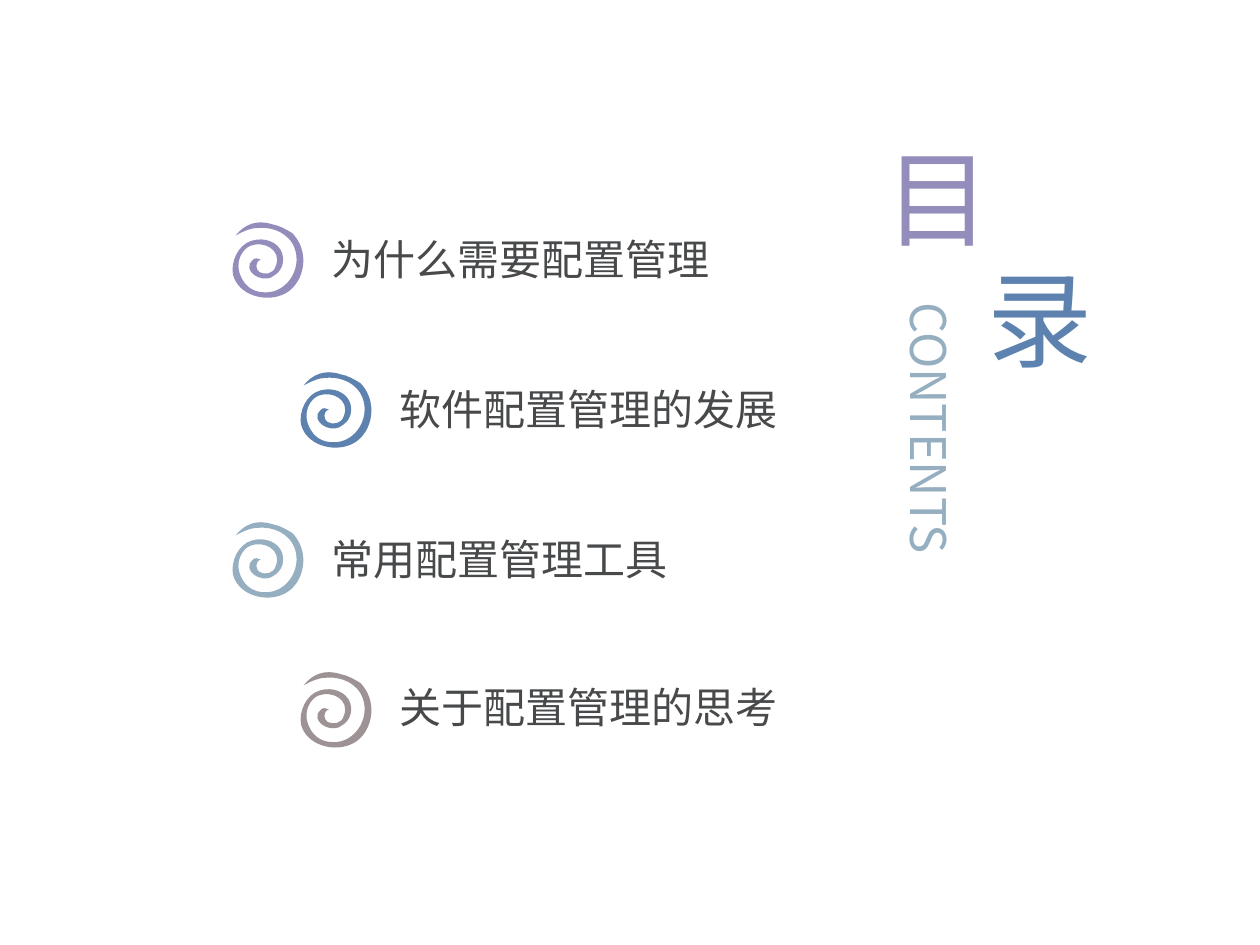
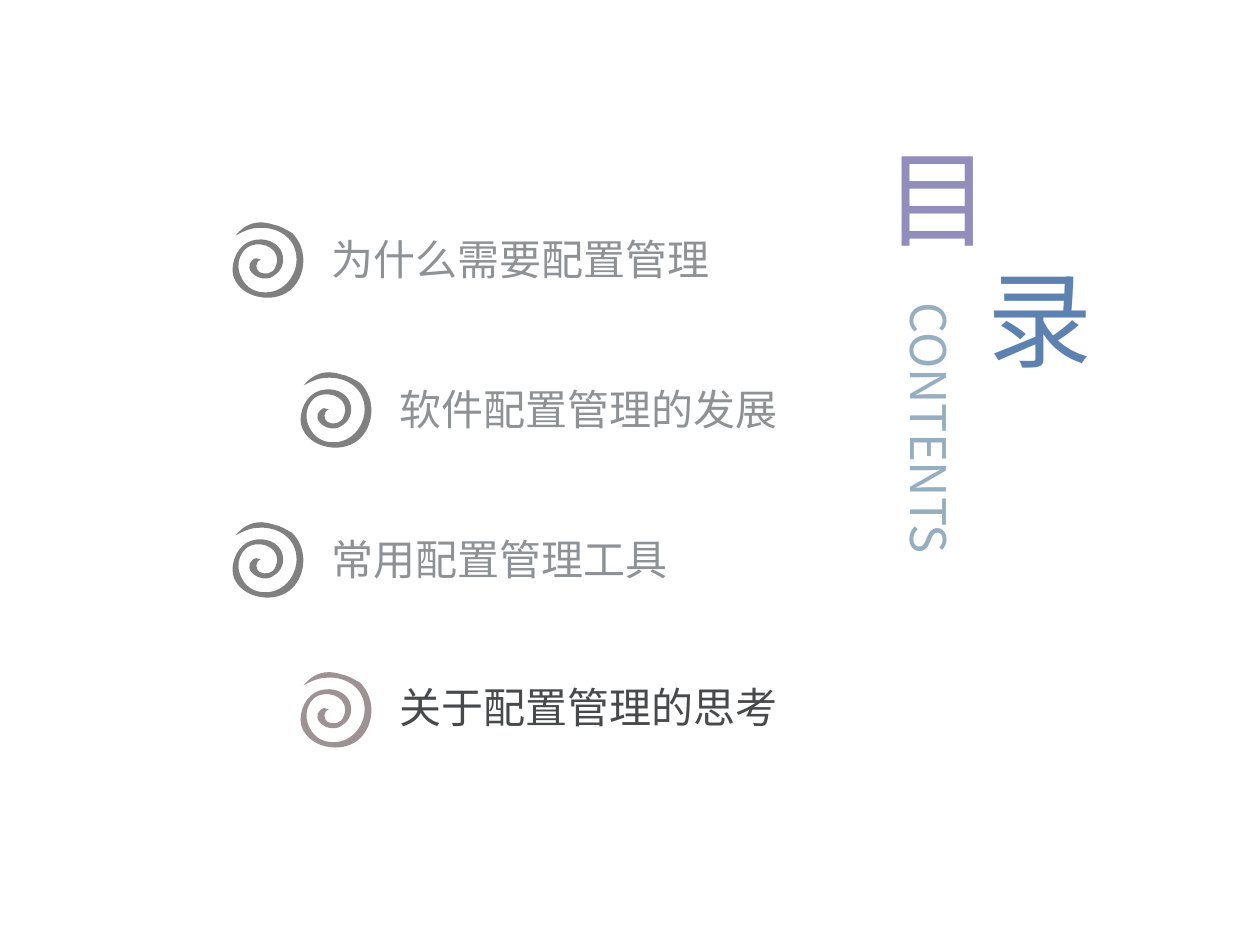
from dataclasses import dataclass
from lxml.etree import SubElement
from pptx import Presentation
from pptx.dml.color import RGBColor
from pptx.enum.text import MSO_ANCHOR, MSO_AUTO_SIZE, PP_ALIGN
from pptx.oxml.ns import qn
from pptx.util import Inches, Pt


@dataclass(frozen=True)
class Theme:
    purple: str = "938DBC"
    blue: str = "5D82AF"
    mist: str = "95AEC0"
    taupe: str = "9D9394"
    dark: str = "47494B"
    muted_label: str = "8F9295"
    muted_spiral: str = "808080"
    heading_font: str = "Noto Sans CJK JP"
    label_font: str = "Calibri"
    heading_size: int = 60
    caption_size: int = 28
    label_size: int = 24


THEME = Theme()
TOPICS = [
    ("为什么需要配置管理", THEME.purple, 1.66, 4.09),
    ("软件配置管理的发展", THEME.blue, 2.85, 4.01),
    ("常用配置管理工具", THEME.mist, 4.04, 4.01),
    ("关于配置管理的思考", THEME.taupe, 5.21, 4.01),
]
COLUMN_LEFTS = (1.83, 2.37)
SPIRAL_TOP, SPIRAL_PITCH = 1.74, 1.19
SPIRAL_WIDTH, SPIRAL_HEIGHT = 0.6, 0.65
LABEL_OFFSET, LABEL_HEIGHT = 0.7, 0.79
SPIRAL_GRID = (60, 65)
SPIRAL_START = (24, 32)
SPIRAL_CURVES = [
    ((19, 34), (20, 40), (23, 42)),
    ((27, 44), (34, 44), (36, 37)),
    ((41, 24), (26, 17), (16, 21)),
    ((10, 23), (2, 34), (9, 47)),
    ((12, 53), (18, 58), (27, 58)),
    ((46, 59), (59, 36), (49, 19)),
    ((42, 8), (29, 6), (21, 7)),
    ((16, 7), (9, 10), (4, 13)),
    ((11, 4), (21, 0), (33, 4)),
    ((39, 5), (44, 8), (49, 11)),
    ((54, 16), (60, 26), (57, 40)),
    ((55, 49), (49, 57), (41, 60)),
    ((27, 66), (6, 60), (2, 44)),
    ((0, 34), (6, 20), (17, 17)),
    ((27, 14), (38, 18), (41, 27)),
    ((43, 34), (41, 41), (34, 45)),
    ((32, 47), (27, 48), (22, 46)),
    ((13, 42), (14, 35), (17, 33)),
    ((19, 30), (22, 31), (24, 32)),
]


def apply(target, values):
    for attribute, value in values.items():
        setattr(target, attribute, value)


def place(shape, left, top, width, height):
    apply(shape, {
        "left": Inches(left), "top": Inches(top),
        "width": Inches(width), "height": Inches(height),
    })


def curve_outline(shape, grid, start, curves):
    outline = shape._element.find(".//" + qn("a:path"))
    for segment in list(outline):
        outline.remove(segment)
    for side, length in zip("wh", grid):
        outline.set(side, str(length))
    steps = [("a:moveTo", [start])] + [("a:cubicBezTo", curve) for curve in curves]
    for tag, points in steps:
        segment = SubElement(outline, qn(tag))
        for x, y in points:
            SubElement(segment, qn("a:pt"), x=str(x), y=str(y))
    SubElement(outline, qn("a:close"))


def add_spiral(slide, left, top, color):
    builder = slide.shapes.build_freeform(*SPIRAL_START, scale=Inches(0.01))
    builder.add_line_segments([curve[-1] for curve in SPIRAL_CURVES])
    spiral = builder.convert_to_shape()
    curve_outline(spiral, SPIRAL_GRID, SPIRAL_START, SPIRAL_CURVES)
    place(spiral, left, top, SPIRAL_WIDTH, SPIRAL_HEIGHT)
    spiral.shadow.inherit = False
    spiral.fill.solid()
    spiral.fill.fore_color.rgb = RGBColor.from_string(color)
    spiral.line.fill.background()


def write(shape, text, font, size, color, align=PP_ALIGN.LEFT, inset=None):
    frame = shape.text_frame
    apply(frame, {
        "word_wrap": True,
        "auto_size": MSO_AUTO_SIZE.NONE,
        "vertical_anchor": MSO_ANCHOR.MIDDLE,
    })
    if inset is not None:
        sides = ("left", "top", "right", "bottom")
        apply(frame, {f"margin_{side}": Inches(inset) for side in sides})
    paragraph = frame.paragraphs[0]
    paragraph.alignment = align
    run = paragraph.add_run()
    run.text = text
    apply(run.font, {"name": font, "size": Pt(size)})
    run.font.color.rgb = RGBColor.from_string(color)
    SubElement(run.font._element, qn("a:ea"), typeface=THEME.heading_font)


def add_text(slide, box, *content, **layout):
    label = slide.shapes.add_textbox(*map(Inches, box))
    write(label, *content, **layout)
    return label


def add_heading(slide):
    style = {"align": PP_ALIGN.CENTER, "inset": 0}
    font = (THEME.heading_font, THEME.heading_size)
    title = slide.shapes.title
    place(title, 6.89, 0.97, 1.11, 1.18)
    write(title, "目", *font, THEME.purple, **style)
    add_text(slide, (7.7, 1.93, 1.11, 1.18), "录", *font, THEME.blue, **style)
    caption = add_text(slide, (5.69, 3.7, 3.39, 0.79), "CONTENTS",
                       THEME.heading_font, THEME.caption_size, THEME.mist, inset=0)
    caption.rotation = 90


def add_topics(slide, active):
    for index, (topic, color, label_top, label_width) in enumerate(TOPICS):
        left = COLUMN_LEFTS[index % 2]
        is_active = index in active
        add_spiral(slide, left, SPIRAL_TOP + index * SPIRAL_PITCH,
                   color if is_active else THEME.muted_spiral)
        add_text(slide, (left + LABEL_OFFSET, label_top, label_width, LABEL_HEIGHT),
                 topic, THEME.label_font, THEME.label_size,
                 THEME.dark if is_active else THEME.muted_label)


def add_contents_slide(deck, active):
    slide = deck.slides.add_slide(deck.slide_layouts.get_by_name("Title Only"))
    add_heading(slide)
    add_topics(slide, active)


def main():
    deck = Presentation()
    apply(deck, {"slide_width": Inches(10), "slide_height": Inches(7.5)})
    add_contents_slide(deck, active=range(len(TOPICS)))
    add_contents_slide(deck, active=[len(TOPICS) - 1])
    deck.save("out.pptx")


main()
